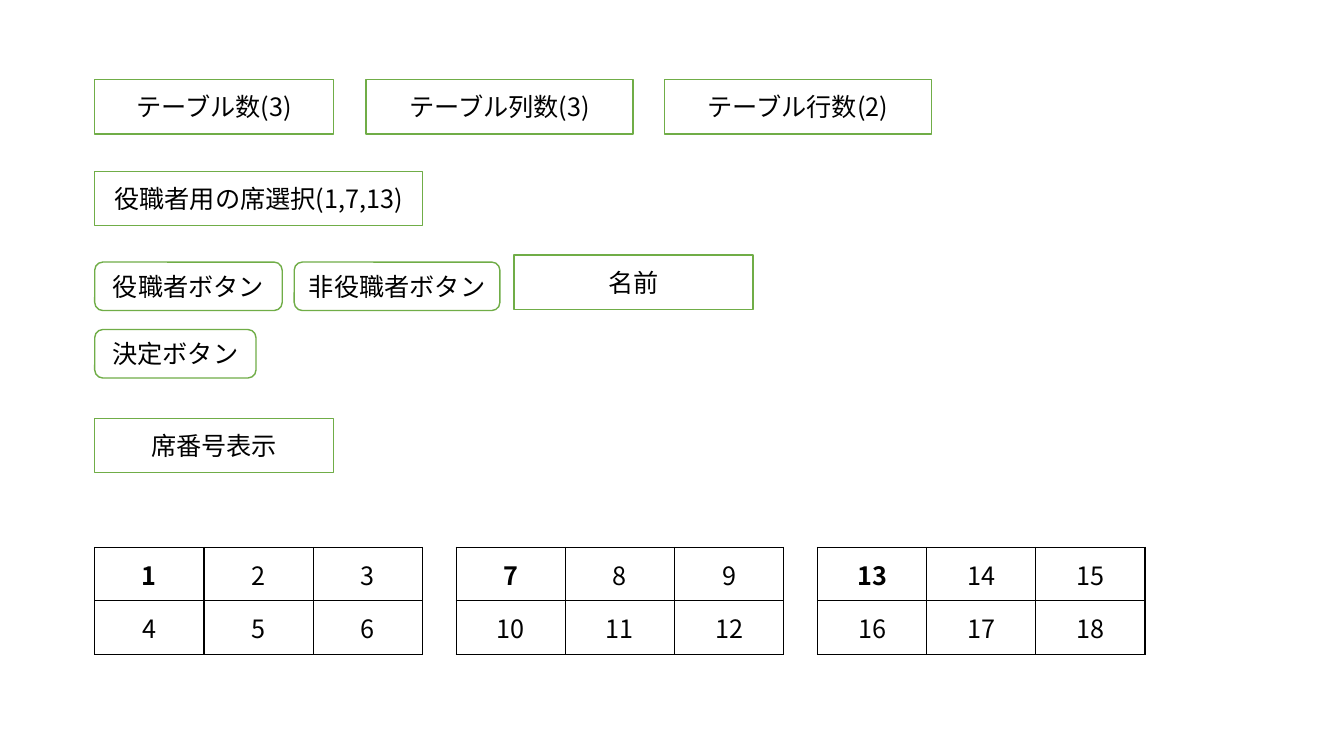
"""Build the seat-assignment screen sketch: input fields, buttons and seat tables."""
import pptx
import pptx.dml.color
import pptx.enum.shapes
import pptx.enum.text
import pptx.oxml
import pptx.oxml.ns
import pptx.util

COLORS = {"green": "70AD47", "black": "000000", "white": "FFFFFF"}
FONT = "Noto Sans CJK JP"
LEFT = 67.7
FIELD_HEIGHT = 38.9
BUTTON_HEIGHT = 34.6
FIELDS = [
    ("テーブル数(3)", LEFT, 56.9, 170.6),
    ("テーブル列数(3)", 261.4, 56.9, 190.8),
    ("テーブル行数(2)", 474.5, 56.9, 190.8),
    ("役職者用の席選択(1,7,13)", LEFT, 122.4, 234),
    ("名前", 367.2, 182.2, 170.6),
    ("席番号表示", LEFT, 298.8, 170.6),
]
BUTTONS = [
    ("役職者ボタン", LEFT, 187.2, 133.9),
    ("非役職者ボタン", 210.2, 187.2, 146.9),
    ("決定ボタン", LEFT, 235.4, 115.2),
]
TABLES, ROWS, COLUMNS = 3, 2, 3
TABLE_TOP, TABLE_STEP = 391, 258.1
CELL_WIDTH, CELL_HEIGHT = 78, 38.2


def color(name):
    """Return the named colour."""
    return pptx.dml.color.RGBColor.from_string(COLORS[name])


def write_text(frame, text, bold=False):
    """Put one centred line of black text into a text frame."""
    frame.text = text
    para = frame.paragraphs[0]
    para.alignment = pptx.enum.text.PP_ALIGN.CENTER
    span = para.runs[0]
    span.font.size = pptx.util.Pt(18)
    span.font.bold = bold
    span.font.color.rgb = color("black")
    span.font.name = FONT
    east_asian = pptx.oxml.parse_xml(
        f'<a:ea {pptx.oxml.ns.nsdecls("a")} typeface="{FONT}"/>')
    span.font._element.append(east_asian)


def add_box(page, kind, text, left, top, width, height):
    """Add a green-outlined box with centred text."""
    lengths = [pptx.util.Pt(value) for value in (left, top, width, height)]
    box = page.shapes.add_shape(kind, *lengths)
    box.shadow.inherit = False
    box.line.color.rgb = color("green")
    box.line.width = pptx.util.Pt(1)
    box.text_frame.vertical_anchor = pptx.enum.text.MSO_ANCHOR.MIDDLE
    write_text(box.text_frame, text)
    return box


def add_field(page, text, left, top, width):
    """Add a white rectangular field."""
    kind = pptx.enum.shapes.MSO_SHAPE.RECTANGLE
    box = add_box(page, kind, text, left, top, width, FIELD_HEIGHT)
    box.fill.solid()
    box.fill.fore_color.rgb = color("white")


def add_button(page, text, left, top, width):
    """Add an unfilled rounded button."""
    kind = pptx.enum.shapes.MSO_SHAPE.ROUNDED_RECTANGLE
    box = add_box(page, kind, text, left, top, width, BUTTON_HEIGHT)
    box.fill.background()


def add_borders(cell):
    """Draw a black one-point border on all sides of a cell."""
    properties = cell._tc.get_or_add_tcPr()
    for side in ("lnL", "lnR", "lnT", "lnB"):
        properties.append(pptx.oxml.parse_xml(
            f'<a:{side} {pptx.oxml.ns.nsdecls("a")} w="{pptx.util.Pt(1)}">'
            f'<a:solidFill><a:srgbClr val="{COLORS["black"]}"/></a:solidFill>'
            f'</a:{side}>'))


def add_seat_table(page, left, first_seat):
    """Add a table of consecutive seats whose first one is the officer's."""
    lengths = [pptx.util.Pt(value) for value in (
        left, TABLE_TOP, COLUMNS * CELL_WIDTH, ROWS * CELL_HEIGHT)]
    table = page.shapes.add_table(ROWS, COLUMNS, *lengths).table
    table.first_row = False
    table.horz_banding = False
    for seat, cell in enumerate(table.iter_cells(), first_seat):
        officer = seat == first_seat
        write_text(cell.text_frame, str(seat), bold=officer)
        cell.vertical_anchor = pptx.enum.text.MSO_ANCHOR.MIDDLE
        add_borders(cell)
        if officer:
            cell.fill.background()
        else:
            cell.fill.solid()
            cell.fill.fore_color.rgb = color("white")


def main():
    """Build and save the slide."""
    deck = pptx.Presentation()
    deck.slide_width = pptx.util.Pt(960)
    deck.slide_height = pptx.util.Pt(540)
    page = deck.slides.add_slide(deck.slide_layouts.get_by_name("Blank"))
    for field in FIELDS:
        add_field(page, *field)
    for button in BUTTONS:
        add_button(page, *button)
    for index in range(TABLES):
        add_seat_table(page, LEFT + index * TABLE_STEP, 1 + index * ROWS * COLUMNS)
    deck.save("out.pptx")


main()
